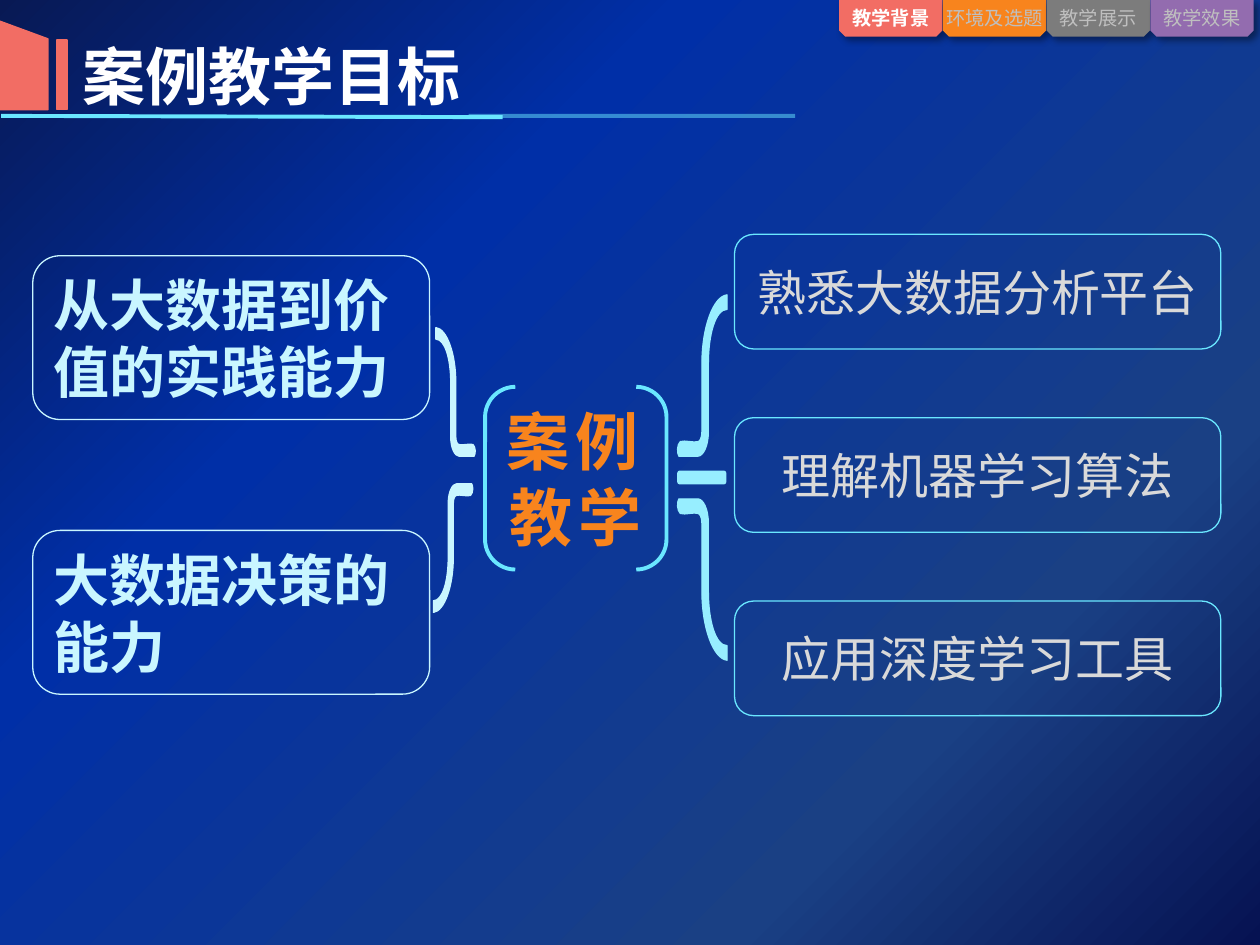
from dataclasses import dataclass

from lxml import etree
from pptx import Presentation
from pptx.dml.color import RGBColor
from pptx.enum.shapes import MSO_CONNECTOR, MSO_SHAPE as Shape
from pptx.enum.text import MSO_ANCHOR as Anchor, PP_ALIGN as Align
from pptx.oxml import parse_xml
from pptx.oxml.ns import nsdecls, qn
from pptx.util import Inches, Pt


@dataclass(frozen=True)
class Theme:
    font: str = "Noto Sans CJK SC"
    background: tuple = ((0, "081954"), (31, "002FA7"), (76, "1A4084"), (100, "061252"))
    coral: str = "F26D64"
    orange: str = "F8841D"
    gray: str = "7C7C7C"
    purple: str = "936CAF"
    cyan: str = "6AE7FF"
    hook: str = "97EEFF"
    pale: str = "C9F6FF"
    white: str = "FFFFFF"
    muted: str = "BFBFBF"
    light: str = "D9D9D9"
    tab_size: int = 11
    goal_size: int = 28
    ability_size: int = 32
    title_size: int = 36


# Hook outline in unit coordinates: one point is a line end, three points are a curve.
HOOK_START = (0.02, 0)
HOOK = (
    ((-0.02, 0.02), (-0.02, 0.07), (0.05, 0.09)),
    ((0.15, 0.1), (0.33, 0.08), (0.41, 0.09)),
    ((0.44, 0.09), (0.49, 0.11), (0.49, 0.15)),
    ((0.49, 0.57),),
    ((0.49, 0.8), (0.72, 0.99), (1, 1)),
    ((1, 0.91),),
    ((0.77, 0.91), (0.62, 0.76), (0.62, 0.57)),
    ((0.62, 0.15),),
    ((0.62, 0.06), (0.51, 0), (0.41, 0)),
)


def write_text(shape, text, *, size, color, bold=False, align=Align.LEFT, wrap=True,
               inset=0.1, tracking=0):
    frame = shape.text_frame
    frame.word_wrap = wrap
    frame.vertical_anchor = Anchor.MIDDLE
    frame.margin_left = frame.margin_right = Inches(inset)
    frame.margin_top = frame.margin_bottom = 0
    paragraph = frame.paragraphs[0]
    paragraph.alignment = align
    run = paragraph.add_run()
    run.text = text
    font = run.font
    font.size, font.bold, font.name = Pt(size), bold, THEME.font
    font.color.rgb = RGBColor.from_string(color)
    properties = font._element
    etree.SubElement(properties, qn("a:ea")).set("typeface", THEME.font)
    if tracking:
        properties.set("spc", str(round(tracking * 100)))


class SlideBuilder:
    def __init__(self, slide, theme):
        self.slide, self.theme = slide, theme

    def background(self):
        fill = self.slide.background.fill
        fill.gradient()
        fill.gradient_angle = 315
        stops = next(self.slide.element.iter(qn("a:gsLst")))
        for stop in list(stops):
            stops.remove(stop)
        for position, color in self.theme.background:
            stop = etree.SubElement(stops, qn("a:gs"), pos=str(position * 1000))
            etree.SubElement(stop, qn("a:srgbClr"), val=color)

    def style(self, shape, fill=None, line=None, width=0.75):
        shape.shadow.inherit = False
        if fill:
            shape.fill.solid()
            shape.fill.fore_color.rgb = RGBColor.from_string(fill)
        else:
            shape.fill.background()
        if line:
            shape.line.color.rgb = RGBColor.from_string(line)
            shape.line.width = Pt(width)
        else:
            shape.line.fill.background()
        return shape

    def shape(self, kind, box, flip=None, **style):
        shape = self.slide.shapes.add_shape(kind, *map(Inches, box))
        if flip:
            shape.element.spPr.find(qn("a:xfrm")).set(flip, "1")
        return self.style(shape, **style)

    def text(self, box, text, **text_format):
        write_text(self.slide.shapes.add_textbox(*map(Inches, box)), text, **text_format)

    def tab(self, left, label, fill, color, bold):
        box = (left, 0, 0.82, 0.29)
        shape = self.shape(Shape.SNIP_2_SAME_RECTANGLE, box, flip="flipV", fill=fill)
        effects = shape.element.spPr.find(qn("a:effectLst"))
        effects.append(parse_xml(
            f'<a:outerShdw {nsdecls("a")} blurRad="{Pt(4)}" dist="{Pt(3)}" dir="2700000" '
            'algn="tl" rotWithShape="0"><a:srgbClr val="000000"><a:alpha val="40000"/>'
            '</a:srgbClr></a:outerShdw>'))
        self.text(box, label, size=self.theme.tab_size, color=color, bold=bold,
                  align=Align.CENTER, wrap=False, inset=0)

    def line(self, start, end, color, width, opacity=100):
        connector = self.slide.shapes.add_connector(
            MSO_CONNECTOR.STRAIGHT, *map(Inches, start + end))
        connector.line.color.rgb = RGBColor.from_string(color)
        connector.line.width = Pt(width)
        if opacity < 100:
            tint = next(connector.element.spPr.iter(qn("a:srgbClr")))
            etree.SubElement(tint, qn("a:alpha"), val=str(opacity * 1000))
        etree.SubElement(connector.element.spPr, qn("a:effectLst"))

    def card(self, box, text, line, **text_format):
        write_text(self.shape(Shape.ROUNDED_RECTANGLE, box, line=line), text, **text_format)

    def hook(self, origin, width, height, color):
        """Draw a hook from the centre; negative sizes go left or up."""
        def place(point):
            return (Inches(origin[0] + point[0] * width),
                    Inches(origin[1] + point[1] * height))

        builder = self.slide.shapes.build_freeform(*place(HOOK_START))
        builder.add_line_segments([place(segment[-1]) for segment in HOOK], close=True)
        shape = self.style(builder.convert_to_shape(), fill=color, line=color)
        lines = list(shape.element.spPr.iter(qn("a:lnTo")))
        for line, segment in zip(lines, HOOK):
            if len(segment) == 3:
                line.getparent().replace(line, self.curve(shape, map(place, segment)))

    def curve(self, shape, points):
        curve = etree.Element(qn("a:cubicBezTo"))
        for x, y in points:
            etree.SubElement(curve, qn("a:pt"), x=str(x - shape.left), y=str(y - shape.top))
        return curve


THEME = Theme()


def main():
    presentation = Presentation()
    presentation.slide_width, presentation.slide_height = Inches(10), Inches(7.5)
    slide = presentation.slides.add_slide(presentation.slide_layouts[6])
    builder = SlideBuilder(slide, THEME)
    builder.background()

    tabs = (("教学背景", THEME.coral), ("环境及选题", THEME.orange),
            ("教学展示", THEME.gray), ("教学效果", THEME.purple))
    for index, (label, fill) in enumerate(tabs):
        active = index == 0
        builder.tab(6.66 + index * 2.47 / 3, label, fill,
                    THEME.white if active else THEME.muted, active)

    builder.line((0.01, 0.92), (3.99, 0.93), THEME.cyan, 2.25)
    builder.line((3.72, 0.92), (6.31, 0.92), THEME.cyan, 2.25, opacity=50)
    for kind, box in ((Shape.FLOWCHART_MANUAL_INPUT, (0, 0.17, 0.38, 0.7)),
                      (Shape.RECTANGLE, (0.45, 0.32, 0.08, 0.55))):
        builder.shape(kind, box, flip="flipH", fill=THEME.coral, line=THEME.coral, width=1)
    builder.text((0.56, 0.24, 5.72, 0.71), "案例教学目标", size=THEME.title_size,
                 color=THEME.white, bold=True)

    goals = ("熟悉大数据分析平台", "理解机器学习算法", "应用深度学习工具")
    for index, goal in enumerate(goals):
        builder.card((5.83, 1.86 + index * 2.91 / 2, 3.86, 0.91), goal, THEME.cyan,
                     size=THEME.goal_size, color=THEME.light, align=Align.CENTER)

    for top, ability in ((2.03, "从大数据到价值的实践能力"), (4.21, "大数据决策的能力")):
        builder.card((0.26, top, 3.15, 1.3), ability, THEME.pale,
                     size=THEME.ability_size, color=THEME.pale, bold=True)

    center = builder.shape(Shape.DOUBLE_BRACKET, (3.85, 3.07, 1.44, 1.45),
                           line=THEME.cyan, width=2.25)
    write_text(center, "案例教学", size=THEME.title_size, color=THEME.orange, bold=True,
               align=Align.CENTER, inset=0.05, tracking=3.4)

    builder.hook((5.38, 3.62), 0.39, -1.28, THEME.hook)
    builder.hook((5.38, 3.96), 0.39, 1.28, THEME.hook)
    builder.shape(Shape.ROUNDED_RECTANGLE, (5.38, 3.74, 0.38, 0.1),
                  fill=THEME.hook, line=THEME.hook)
    builder.hook((3.77, 3.62), -0.31, -1.02, THEME.pale)
    builder.hook((3.75, 3.84), -0.31, 1.02, THEME.pale)

    presentation.save("out.pptx")


if __name__ == "__main__":
    main()
